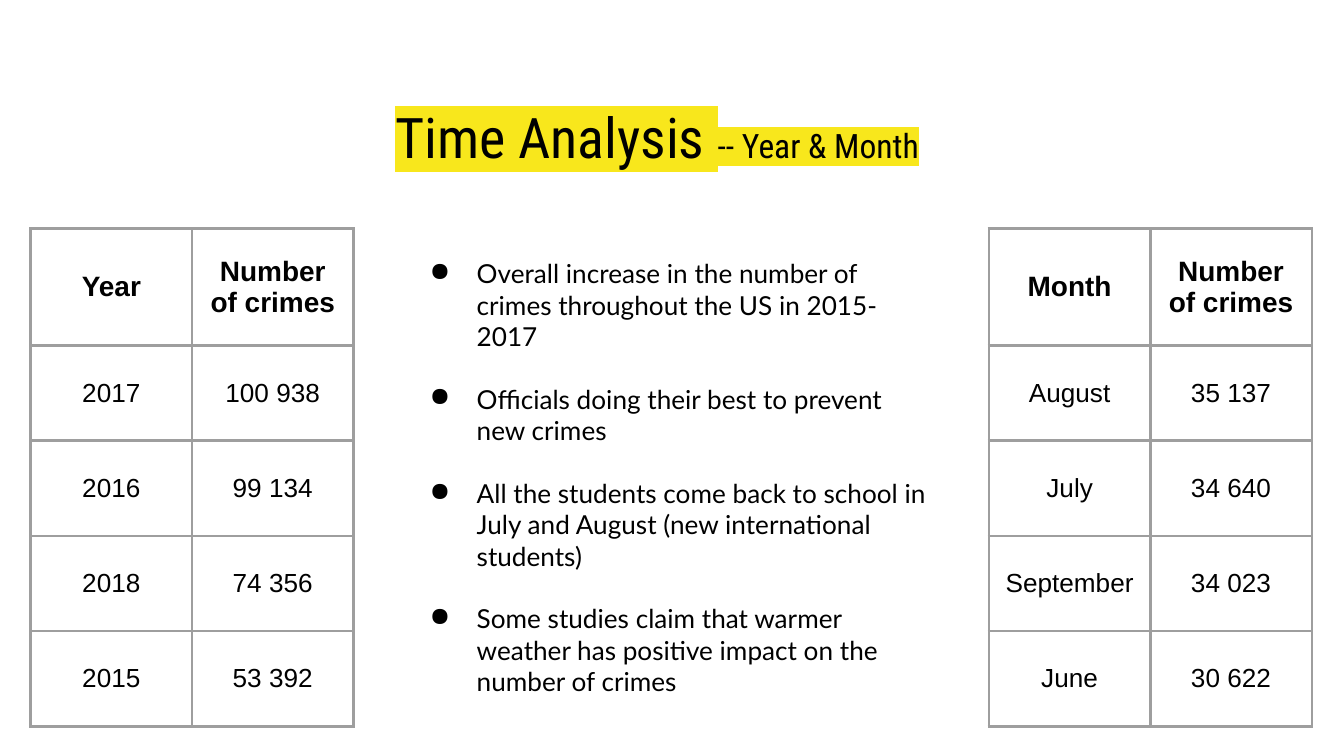
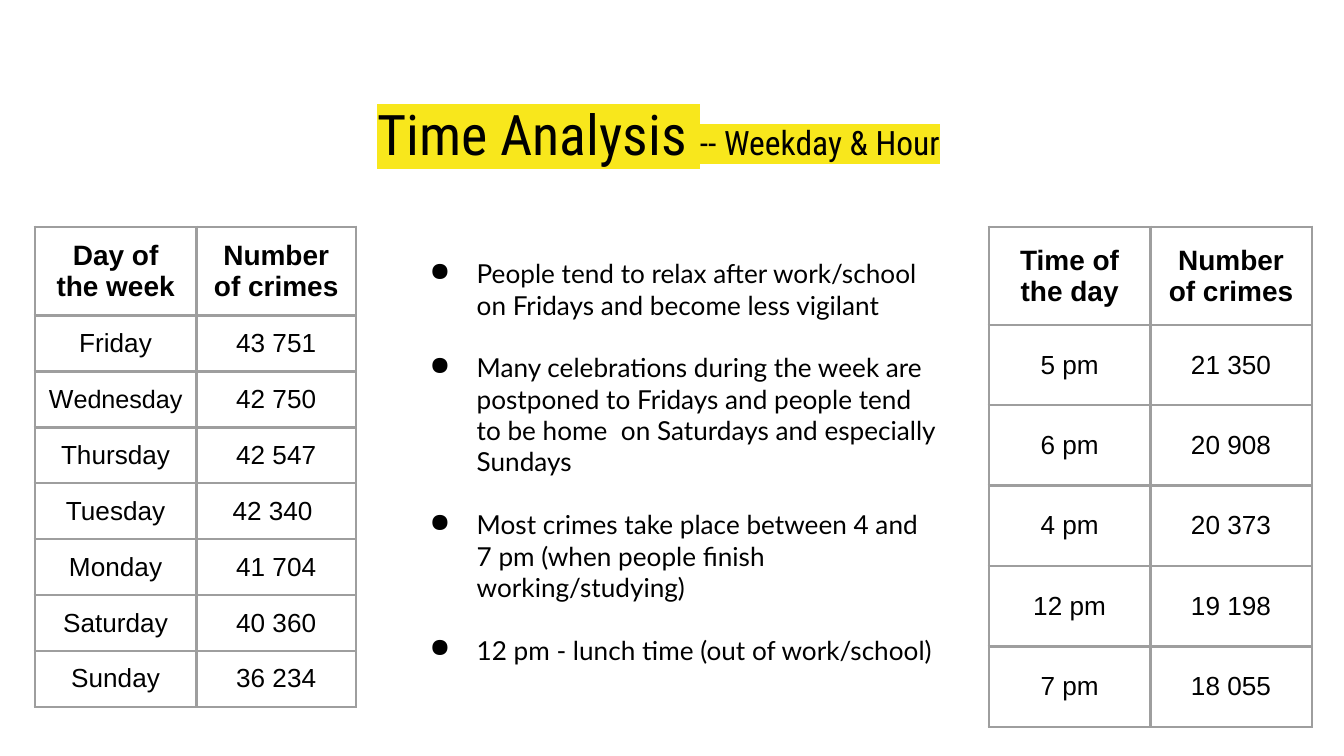
from lxml.etree import SubElement
from pptx import Presentation
from pptx.dml.color import RGBColor
from pptx.enum.text import MSO_ANCHOR, MSO_AUTO_SIZE, PP_ALIGN
from pptx.oxml import parse_xml
from pptx.oxml.ns import nsdecls, qn
from pptx.util import Cm, Pt

BLACK, WHITE, GREY, YELLOW = "000000", "FFFFFF", "9E9E9E", "F8E71C"
HEAD, BODY, GRID = "Roboto Condensed", "Lato", "Arial"
COUNT = "Number of crimes"


def color(code):
    return RGBColor.from_string(code)


class Deck:
    """Holds the style and the current slide."""

    inset = Cm(0.25)

    def __init__(self):
        self.prs = Presentation()
        self.prs.slide_width, self.prs.slide_height = Cm(25.4), Cm(14.29)
        self.slide = None

    def page(self):
        self.slide = self.prs.slides.add_slide(self.prs.slide_layouts[5])
        back = self.slide.background.fill
        back.solid()
        back.fore_color.rgb = color(WHITE)

    def run(self, para, text, size, face, bold=False, mark=None):
        run = para.add_run()
        run.text = text
        font = run.font
        font.size, font.name, font.bold = Pt(size), face, bold
        font.color.rgb = color(BLACK)
        if mark:
            fill = run._r.rPr.find(qn("a:solidFill"))
            fill.addnext(parse_xml(
                f'<a:highlight {nsdecls("a")}><a:srgbClr val="{mark}"/></a:highlight>'))

    def frame(self, shape):
        frame = shape.text_frame
        frame.word_wrap = True
        frame.auto_size = MSO_AUTO_SIZE.NONE
        frame.vertical_anchor = MSO_ANCHOR.TOP
        frame.margin_left = frame.margin_right = self.inset
        frame.margin_top = frame.margin_bottom = self.inset
        return frame

    def title(self, left, top, topic):
        shape = self.slide.shapes.title
        shape.left, shape.top = Cm(left), Cm(top)
        shape.width, shape.height = Cm(19.56), Cm(2.54)
        para = self.frame(shape).paragraphs[0]
        para.alignment = PP_ALIGN.CENTER
        self.run(para, "Time Analysis ", 30, HEAD, mark=YELLOW)
        self.run(para, "-- " + topic, 18, HEAD, mark=YELLOW)

    def cell(self, cell, parts, bold):
        cell.margin_left = cell.margin_right = self.inset
        cell.margin_top = cell.margin_bottom = self.inset
        cell.vertical_anchor = MSO_ANCHOR.MIDDLE
        para = cell.text_frame.paragraphs[0]
        para.alignment = PP_ALIGN.CENTER
        for text, size in parts:
            self.run(para, text, size, GRID, bold)
        # Borders come before the fill
        props = cell._tc.get_or_add_tcPr()
        for side in "LRTB":
            line = SubElement(props, qn(f"a:ln{side}"), w=str(Pt(1.5)))
            fill = SubElement(line, qn("a:solidFill"))
            SubElement(fill, qn("a:srgbClr"), val=GREY)
        cell.fill.background()

    def table(self, left, top, widths, first, rest, label, data):
        rows = [(label, COUNT)] + data
        high = [first] + [rest] * len(data)
        grid = self.slide.shapes.add_table(
            len(rows), 2, Cm(left), Cm(top), Cm(sum(widths)), Cm(sum(high))).table
        grid.first_row = grid.horz_banding = False
        for col, width in zip(grid.columns, widths):
            col.width = Cm(width)
        for i, row in enumerate(rows):
            grid.rows[i].height = Cm(high[i])
            for j, text in enumerate(row):
                size = 14 if i else 15
                parts = [(text, size)] if isinstance(text, str) else text
                self.cell(grid.cell(i, j), parts, bold=i == 0)

    def list(self, width, items):
        box = self.slide.shapes.add_textbox(Cm(7.49), Cm(4.62), Cm(width), Cm(8.48))
        frame = self.frame(box)
        for i, item in enumerate(items):
            para = frame.paragraphs[0] if i == 0 else frame.add_paragraph()
            props = para._p.get_or_add_pPr()
            props.set("marL", str(Cm(1.27)))
            props.set("indent", str(Cm(-0.89)))
            tint = SubElement(props, qn("a:buClr"))
            SubElement(tint, qn("a:srgbClr"), val=BLACK)
            SubElement(props, qn("a:buChar"), char="●")
            if i:
                para.space_before = Pt(16.8)
            self.run(para, item, 14, BODY)


def main():
    deck = Deck()
    even = (3.05, 3.05)
    right = 18.69

    # Year and month
    deck.page()
    deck.title(2.64, 1.68, "Year & Month")
    deck.table(0.58, 4.32, even, 2.21, 1.8, "Year", [
        ("2017", "100 938"),
        ("2016", "99 134"),
        ("2018", "74 356"),
        ("2015", "53 392"),
    ])
    deck.table(right, 4.32, even, 2.21, 1.8, "Month", [
        ("August", "35 137"),
        ("July", "34 640"),
        ("September", "34 023"),
        ("June", "30 622"),
    ])
    deck.list(10.36, [
        "Overall increase in the number of crimes throughout the US in 2015-2017",
        "Officials doing their best to prevent new crimes",
        "All the students come back to school in July and August "
        "(new international students)",
        "Some studies claim that warmer weather has positive impact "
        "on the number of crimes",
    ])

    # Weekday and hour
    deck.page()
    deck.title(2.67, 1.63, "Weekday & Hour")
    deck.table(right, 4.29, even, 1.85, 1.52, "Time of the day", [
        ("5 pm", "21 350"),
        ("6 pm", "20 908"),
        ("4 pm", "20 373"),
        ("12 pm", "19 198"),
        ("7 pm", "18 055"),
    ])
    deck.table(0.66, 4.29, (3.05, 3.02), 1.42, 0.89, "Day of the week", [
        ("Friday", "43 751"),
        ([("W", 14), ("ednesday", 13.5)], "42 750"),
        ("Thursday", "42 547"),
        ("Tuesday", "42 340 "),
        ("Monday", "41 704"),
        ("Saturday", "40 360"),
        ("Sunday", "36 234"),
    ])
    deck.list(10.52, [
        "People tend to relax after work/school on Fridays and become less vigilant",
        "Many celebrations during the week are postponed to Fridays and people "
        "tend to be home  on Saturdays and especially Sundays",
        "Most crimes take place between 4 and 7 pm "
        "(when people finish working/studying)",
        "12 pm - lunch time (out of work/school)",
    ])

    deck.prs.save("out.pptx")


if __name__ == "__main__":
    main()
